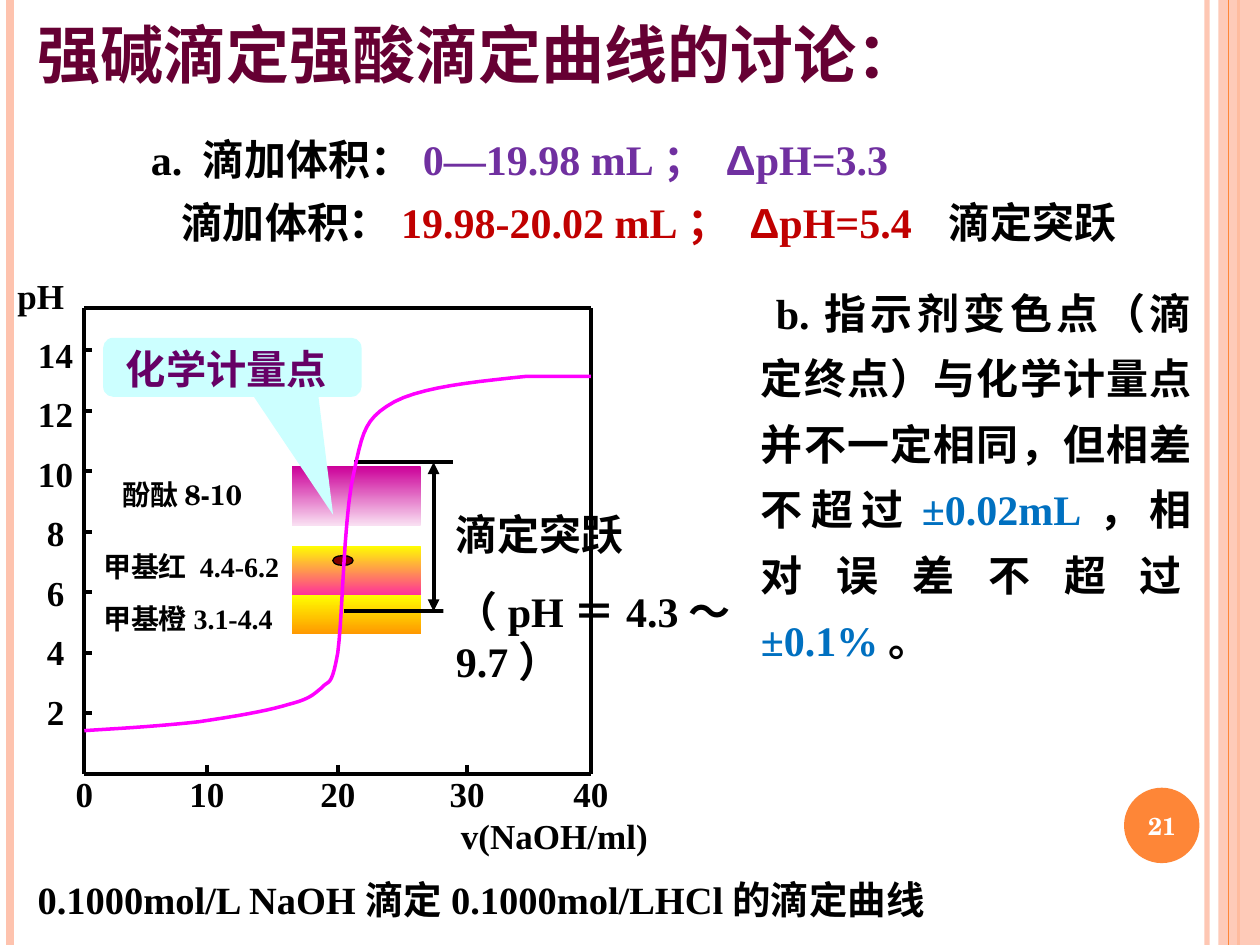
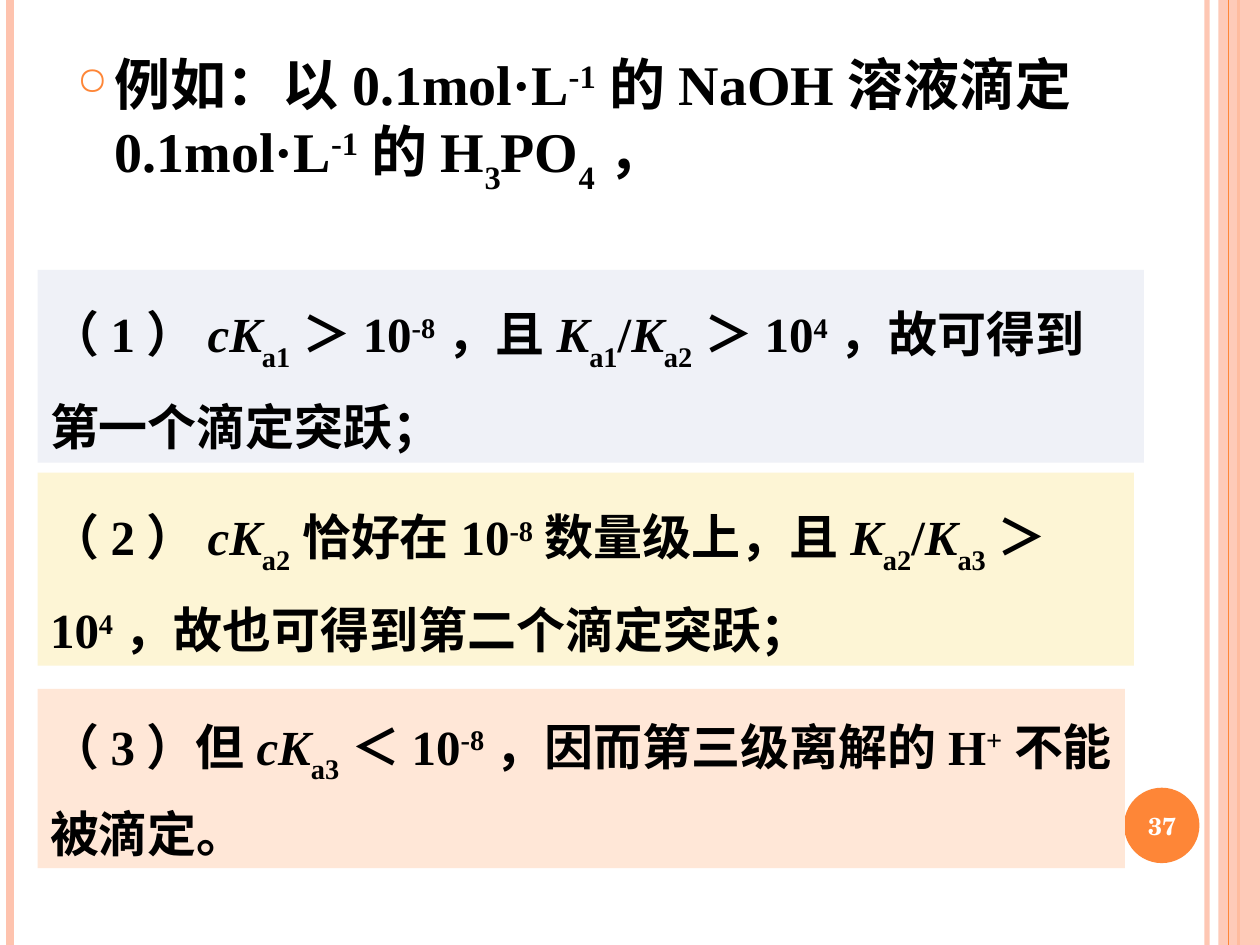
from dataclasses import dataclass

import pptx
import pptx.dml.color
import pptx.enum.shapes
import pptx.enum.text
import pptx.oxml.ns
import pptx.oxml.xmlchemy
import pptx.util
from pptx.util import Cm

SHAPE = pptx.enum.shapes.MSO_SHAPE
ALIGN = pptx.enum.text.PP_ALIGN
ANCHOR = pptx.enum.text.MSO_ANCHOR
qn = pptx.oxml.ns.qn


@dataclass(frozen=True)
class Theme:
    # Fonts
    latin: str = "Times New Roman"
    chinese: str = "Noto Sans CJK SC"
    heading: str = "Noto Sans CJK JP"
    label: str = "TeX Gyre Schola"
    symbol: str = "Arial"
    # Type sizes
    title_size: int = 36
    example_size: int = 32
    step_size: int = 28
    body_size: int = 24
    callout_size: int = 23
    caption_size: int = 22
    axis_size: int = 20
    indicator_size: int = 16
    number_size: int = 14
    # Colours
    black: str = "000000"
    white: str = "FFFFFF"
    orange: str = "FE8637"
    peach: str = "FEC3AE"
    title: str = "660033"
    purple: str = "7030A0"
    red: str = "C00000"
    blue: str = "0070C0"
    curve: str = "FF00FF"
    dot: str = "800000"
    callout: str = "CCFFFF"
    callout_text: str = "660066"
    steps: tuple = ("EFF1F7", "FDF5D5", "FFE7D7")


THEME = Theme()

# Run styles
ZH = {"name": THEME.chinese}
ITALIC = {"italic": True}
SUB = {"baseline": -30000}
SUP = {"baseline": 30000}


def rgb(value):
    return pptx.dml.color.RGBColor.from_string(value)


def add_xml(parent, tag, **attributes):
    element = pptx.oxml.xmlchemy.OxmlElement(tag)
    for key, value in attributes.items():
        element.set(key, str(value))
    parent.append(element)
    return element


def set_alpha(parent, percent):
    add_xml(next(parent.iter(qn("a:srgbClr"))), "a:alpha", val=percent * 1000)


# ---- Text ----
def set_font(font, size, color, name, italic=None):
    font.size, font.bold, font.italic, font.name = pptx.util.Pt(size), True, italic, name
    font.color.rgb = rgb(color)


def add_run(paragraph, text, size, color=THEME.black, name=THEME.latin,
            italic=None, baseline=None):
    run = paragraph.add_run()
    run.text = text
    set_font(run.font, size, color, name, italic)
    properties = run._r.get_or_add_rPr()
    east_asian = add_xml(properties, "a:ea",
                         typeface=name if name == THEME.heading else THEME.chinese)
    properties.find(qn("a:latin")).addnext(east_asian)
    if baseline:
        properties.set("baseline", str(baseline))


def fill_paragraph(paragraph, runs, size, align=None, spacing=None, before=None,
                   left=0, indent=0, tab=None, bullet=None):
    properties = paragraph._p.get_or_add_pPr()
    properties.set("marL", str(Cm(left)))
    properties.set("indent", str(Cm(indent)))
    if bullet:
        add_xml(add_xml(properties, "a:buClr"), "a:srgbClr", val=THEME.orange)
        add_xml(properties, "a:buSzPct", val=70000)
        add_xml(properties, "a:buChar", char=bullet)
    if tab:
        add_xml(add_xml(properties, "a:tabLst"), "a:tab", pos=Cm(tab), algn="l")
    paragraph.alignment = align
    paragraph.line_spacing = spacing
    if before:
        paragraph.space_before = pptx.util.Pt(before)
    paragraph.font.size, paragraph.font.bold = pptx.util.Pt(size), True
    for text, style in runs:
        add_run(paragraph, text, size, **style)


def prepare_frame(shape, anchor=ANCHOR.TOP):
    frame = shape.text_frame
    frame.word_wrap = True
    frame.vertical_anchor = anchor
    frame.margin_left = frame.margin_right = Cm(0.25)
    frame.margin_top = frame.margin_bottom = Cm(0.13)
    return frame


def add_text(slide, box, runs, size, anchor=ANCHOR.TOP, **layout):
    shape = slide.shapes.add_textbox(*map(Cm, box))
    frame = prepare_frame(shape, anchor)
    fill_paragraph(frame.paragraphs[0], runs, size, **layout)
    return frame


# ---- Shapes and lines ----
def add_block(slide, kind, box, color, line=None):
    shape = slide.shapes.add_shape(kind, *map(Cm, box))
    shape.shadow.inherit = False
    if isinstance(color, tuple):
        shape.fill.gradient()
        shape.fill.gradient_angle = 270
        for stop, stop_color in zip(shape.fill.gradient_stops, color):
            stop.color.rgb = rgb(stop_color)
    else:
        shape.fill.solid()
        shape.fill.fore_color.rgb = rgb(color)
    if line:
        shape.line.color.rgb = rgb(line)
        shape.line.width = pptx.util.Pt(0.75)
    else:
        shape.line.fill.background()
    return shape


def add_line(slide, x1, y1, x2, y2, color=THEME.black, width=2.25, arrows=False):
    line = slide.shapes.add_connector(pptx.enum.shapes.MSO_CONNECTOR.STRAIGHT,
                                      Cm(x1), Cm(y1), Cm(x2), Cm(y2))
    line.line.color.rgb = rgb(color)
    line.line.width = pptx.util.Pt(width)
    if arrows:
        for tag in ("a:headEnd", "a:tailEnd"):
            add_xml(line.line._get_or_add_ln(), tag, type="triangle")
    add_xml(line._element.spPr, "a:effectLst")
    return line


def bezier_points(start, segments, steps=10):
    for first, second, end in segments:
        for step in range(1, steps + 1):
            t = step / steps
            weights = ((1 - t) ** 3, 3 * t * (1 - t) ** 2, 3 * t * t * (1 - t), t ** 3)
            corners = (start, first, second, end)
            yield tuple(sum(w * c[axis] for w, c in zip(weights, corners))
                        for axis in (0, 1))
        start = end


# ---- Shared slide frame ----
def add_slide(presentation):
    slide = presentation.slides.add_slide(presentation.slide_layouts[6])
    height = 19.05
    edge = add_line(slide, 24.33, 0, 24.33, height, THEME.peach, 3)
    set_alpha(edge._element.spPr, 93)
    add_line(slide, 0.2, 0, 0.2, height, THEME.peach, 4.5)
    add_line(slide, 24.97, 0, 24.97, height, THEME.orange, 1.5)
    band = add_block(slide, SHAPE.RECTANGLE, (24.56, 0, 0.84, height), THEME.peach)
    set_alpha(band._element.spPr, 87)
    add_line(slide, 24.77, 0, 24.77, height, THEME.orange, 0.75)
    add_block(slide, SHAPE.OVAL, (22.66, 15.88, 1.52, 1.52), THEME.orange)
    return slide


def add_number(slide, number):
    style = {"name": THEME.label, "color": THEME.white}
    add_text(slide, (22.58, 15.93, 1.7, 1.45), [(number, style)], THEME.number_size,
             ANCHOR.MIDDLE, align=ALIGN.CENTER)


# ---- Titration chart ----
def add_indicators(slide):
    label = {"name": THEME.label}
    for top, height, colors in ((11, 0.99, ("FFFF00", "FF3399")),
                                (11.99, 0.79, ("FFFF00", "FF9900")),
                                (9.4, 1.19, ("CC0099", "F9DFF2"))):
        add_block(slide, SHAPE.RECTANGLE, (5.89, top, 2.59, height), colors)
    for box, runs, align in (
            ((1.83, 10.95, 4.39, 0.94), [("甲基红 ", label), ("4.4-6.2", {})], None),
            ((1.83, 11.99, 4.19, 0.94), [("甲基橙", label), ("3.1-4.4", {})], None),
            ((1.6, 9.5, 3.53, 0.94), [("酚酞8-10", label)], ALIGN.RIGHT)):
        add_text(slide, box, runs, THEME.indicator_size, align=align)


def add_jump(slide):
    top, bottom = 9.32, 12.32
    add_line(slide, 7.14, top, 9.14, top)
    add_line(slide, 6.93, bottom, 9.35, bottom)
    add_line(slide, 8.74, top, 8.74, bottom, arrows=True)
    note = add_block(slide, SHAPE.RECTANGLE, (8.94, 10.13, 7.52, 3.84), THEME.white)
    frame = prepare_frame(note)
    fill_paragraph(frame.paragraphs[0], [("滴定突跃", {})], THEME.body_size,
                   align=ALIGN.LEFT)
    fill_paragraph(frame.add_paragraph(), [("（pH＝4.3～9.7）", {})], THEME.body_size,
                   align=ALIGN.LEFT, before=15)


def add_callout(slide):
    add_block(slide, SHAPE.OVAL, (6.71, 11.2, 0.41, 0.2), THEME.dot, THEME.black)
    callout = add_block(slide, SHAPE.ROUNDED_RECTANGULAR_CALLOUT,
                        (2.08, 6.81, 5.21, 1.19), THEME.callout)
    for index, value in enumerate((0.39, 2.5, 0.17)):
        callout.adjustments[index] = value
    frame = prepare_frame(callout)
    frame.margin_left, frame.margin_right, frame.margin_top = Cm(0.4), Cm(0), Cm(0.07)
    fill_paragraph(frame.paragraphs[0], [("化学计量点", {"color": THEME.callout_text})],
                   THEME.callout_size, align=ALIGN.LEFT)


def add_axes(slide):
    left, top, right, bottom = 1.7, 6.2, 11.91, 15.6
    # Plot border
    for ends in ((left, bottom, left, top), (left, bottom, right, bottom),
                 (left, top, right, top), (right, bottom, right, top)):
        add_line(slide, *ends)
    # pH scale
    add_text(slide, (0.1, 5.41, 1.6, 1.12), [("pH", {})], THEME.axis_size)
    for index in range(7):
        tick = 14.38 - 1.22 * index
        add_line(slide, left, tick, left + 0.15, tick)
        add_text(slide, (0.22, 13.79 - 1.2 * index, 1.8, 1.12),
                 [(str(2 * index + 2), {})], THEME.axis_size, align=ALIGN.CENTER)
    # Volume scale
    for index, tick in enumerate((left, 4.17, 6.81, 9.42, right)):
        if index:
            add_line(slide, tick, bottom - 0.18, tick, bottom)
        add_text(slide, (tick - 0.9, 15.44, 1.8, 1.12), [(str(10 * index), {})],
                 THEME.axis_size, align=ALIGN.CENTER)
    add_text(slide, (6.96, 16.28, 6.35, 1.12), [("v(NaOH/ml)", {})], THEME.axis_size,
             align=ALIGN.RIGHT)


def add_curve(slide):
    start = (1.7, 14.73)
    segments = (((2.51, 14.68), (3.33, 14.63), (4.01, 14.55)),
                ((4.7, 14.45), (5.41, 14.33), (5.82, 14.2)),
                ((6.22, 14.1), (6.3, 14.02), (6.48, 13.87)),
                ((6.63, 13.69), (6.68, 13.89), (6.81, 13.16)),
                ((6.91, 12.45), (6.93, 10.34), (7.14, 9.5)),
                ((7.32, 8.66), (7.37, 8.43), (7.95, 8.1)),
                ((8.53, 7.8), (9.55, 7.7), (10.59, 7.59)))
    points = [*bezier_points(start, segments), (11.91, 7.59)]
    builder = slide.shapes.build_freeform(Cm(start[0]), Cm(start[1]))
    builder.add_line_segments([(Cm(x), Cm(y)) for x, y in points], close=False)
    curve = builder.convert_to_shape()
    curve.shadow.inherit = False
    curve.fill.background()
    curve.line.color.rgb = rgb(THEME.curve)
    curve.line.width = pptx.util.Pt(2)


# ---- Slides ----
def build_curve_slide(presentation):
    slide = add_slide(presentation)
    add_indicators(slide)
    add_jump(slide)
    add_callout(slide)
    add_axes(slide)
    add_curve(slide)
    add_text(slide, (0.51, 17.53, 19.2, 1.19),
             [("0.1000mol/L NaOH滴定0.1000mol/LHCl的滴定曲线", {})], THEME.caption_size)
    add_text(slide, (0.51, 0.13, 20.4, 1.9),
             [("强碱滴定强酸滴定曲线的讨论：", {"name": THEME.heading, "color": THEME.title})],
             THEME.title_size, ANCHOR.MIDDLE)
    # Discussion of the end point
    blue = {"color": THEME.blue}
    add_text(slide, (15.09, 5.36, 9.19, 8.18),
             [("b.", {}), ("指示剂变色点（滴定终点）与化学计量点并不一定相同，但相差不超过", ZH),
              ("±0.02mL", blue), ("，相对误差不超过", ZH), ("±0.1%", blue), ("。", {})],
             THEME.body_size, align=ALIGN.JUSTIFY, spacing=1.3, indent=0.3)
    # Added volumes
    purple, red = {"color": THEME.purple}, {"color": THEME.red}
    frame = add_text(slide, (1.09, 2.31, 22.81, 4.06),
                     [("a. ", {}), ("滴加体积：", ZH), ("0—19.98 mL； ", purple),
                      ("Δ", {**purple, "name": THEME.symbol}), ("pH=3.3", purple)],
                     THEME.body_size, spacing=1.25, indent=1.7)
    fill_paragraph(frame.add_paragraph(),
                   [("滴加体积：", ZH), ("19.98-20.02 mL； ", red),
                    ("Δ", {**red, "name": THEME.symbol}), ("pH=5.4\t", red),
                    ("滴定突跃", ZH)],
                   THEME.body_size, spacing=1.25, indent=2.31, tab=18.11)
    add_number(slide, "21")


def build_example_slide(presentation):
    slide = add_slide(presentation)
    molar = [("0.1mol·L", {}), ("-1", SUP), ("的", ZH)]
    add_text(slide, (1.3, 0.86, 23.8, 3.81),
             [("例如：以", ZH), *molar, ("NaOH", {}), ("溶液滴定 ", ZH), *molar,
              ("H", {}), ("3", SUB), ("PO", {}), ("4", SUB), ("，", ZH)],
             THEME.example_size, left=0.76, indent=-0.76, bullet="○")

    def constant(level, symbol="K"):
        return [(symbol, ITALIC), (f"a{level}", SUB)]

    def power(exponent):
        return [("10", {}), (exponent, SUP)]

    def ratio(level):
        return [*constant(level), ("/", {}), *constant(level + 1)]

    # Conditions for each titration jump
    steps = (
        ((5.44, 22.3, 3.89), 1.4,
         [*constant(1, "cK"), ("＞", ZH), *power("-8"), ("，且", ZH), *ratio(1),
          ("＞", ZH), *power("4"), ("，故可得到第一个滴定突跃；", ZH)]),
        ((9.53, 22.1, 3.89), 1.4,
         [*constant(2, "cK"), ("恰好在", ZH), *power("-8"), ("数量级上，且", ZH),
          *ratio(2), ("＞", {}), *power("4"), ("，故也可得到第二个滴定突跃；", ZH)]),
        ((13.89, 21.92, 3.61), 1.3,
         [("但", ZH), *constant(3, "cK"), ("＜", ZH), *power("-8"),
          ("，因而第三级离解的", ZH), ("H", {}), ("+", SUP), ("不能被滴定。", ZH)]))
    for number, (color, (box, spacing, runs)) in enumerate(zip(THEME.steps, steps), 1):
        panel = add_block(slide, SHAPE.RECTANGLE, (0.76, *box), color)
        fill_paragraph(prepare_frame(panel).paragraphs[0], [(f"（{number}）", {}), *runs],
                       THEME.step_size, align=ALIGN.LEFT, spacing=spacing)
    add_number(slide, "37")


def main():
    presentation = pptx.Presentation()
    presentation.slide_width, presentation.slide_height = Cm(25.4), Cm(19.05)
    build_curve_slide(presentation)
    build_example_slide(presentation)
    presentation.save("out.pptx")


if __name__ == "__main__":
    main()
